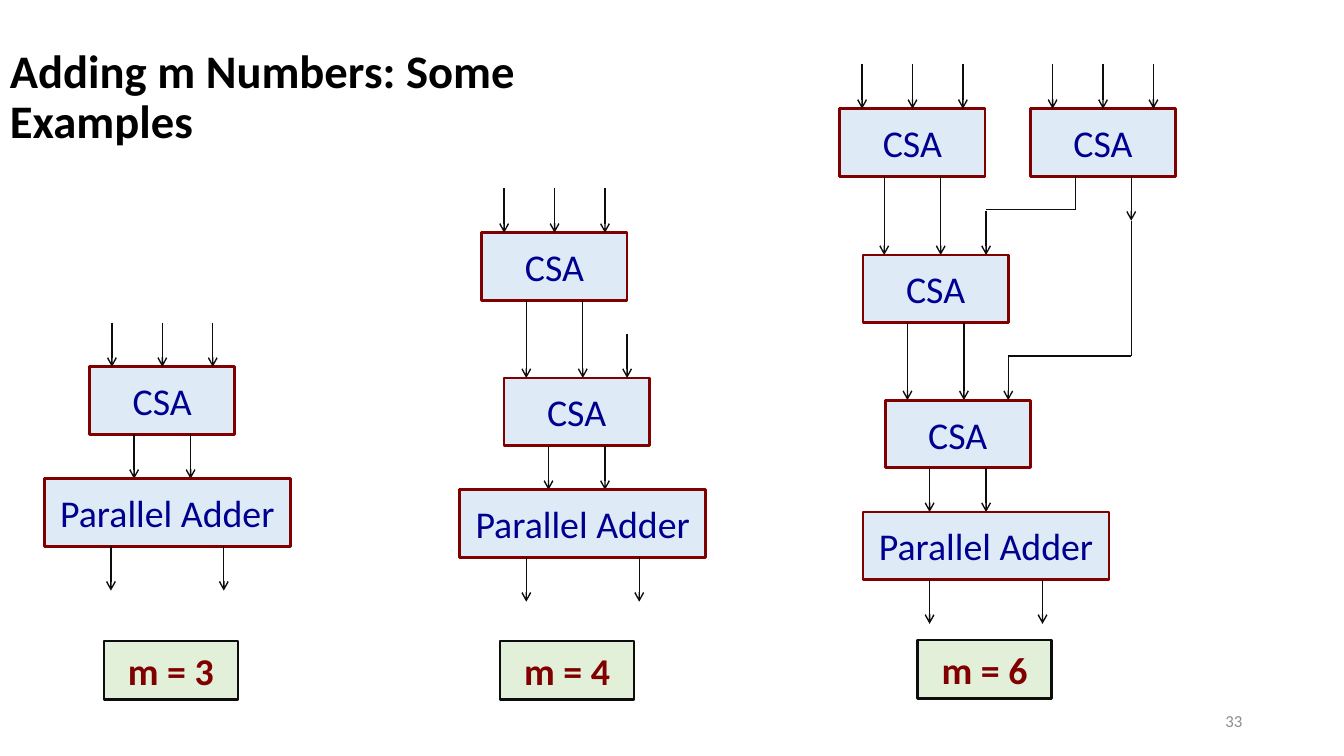
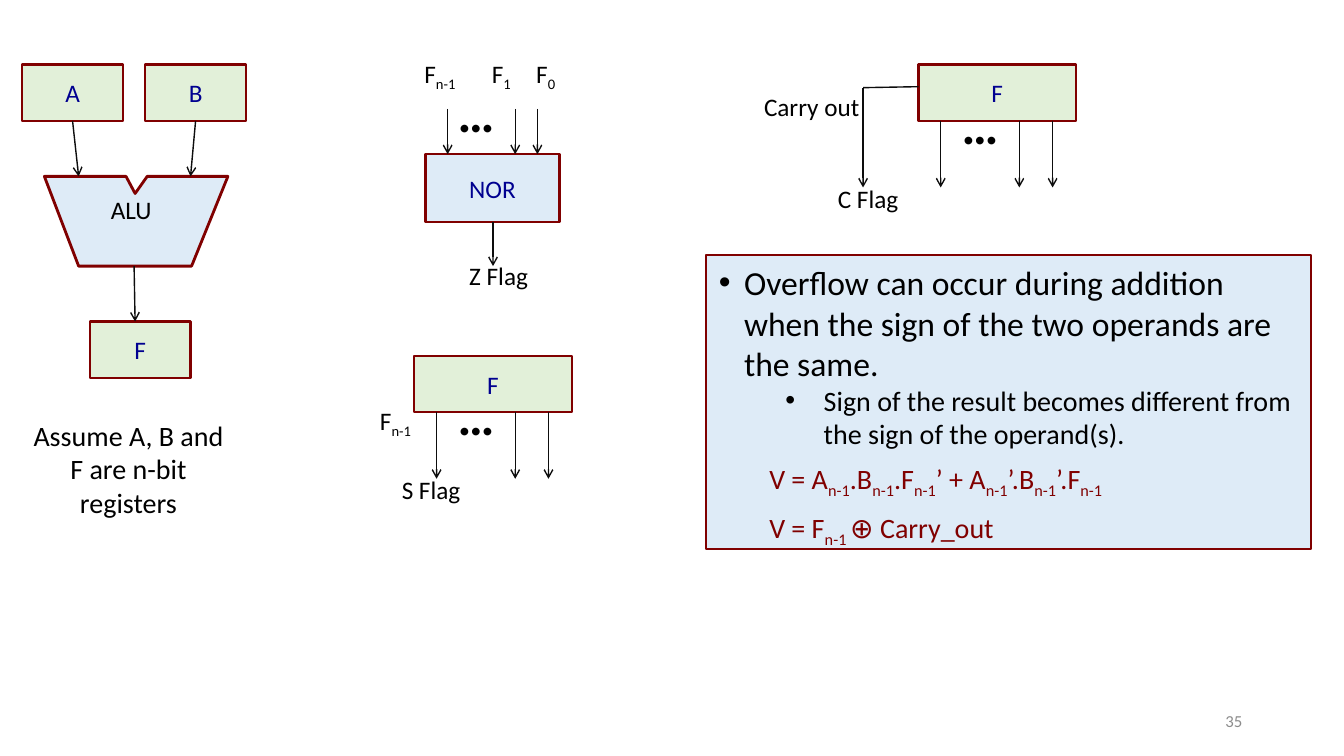
"""Build two slides on carry-save adder trees and ALU status flags."""
from dataclasses import dataclass
from typing import NamedTuple, Optional, Sequence

import lxml.etree
import pptx
import pptx.dml.color
import pptx.enum.shapes
import pptx.enum.text
import pptx.oxml.ns
import pptx.util

Inches = pptx.util.Inches
Pt = pptx.util.Pt
qn = pptx.oxml.ns.qn
ALIGN = pptx.enum.text.PP_ALIGN
ANCHOR = pptx.enum.text.MSO_ANCHOR


@dataclass(frozen=True)
class Theme:
    font: str = "Calibri"
    ink: str = "000000"
    wire: str = "0D0D0D"
    maroon: str = "800000"
    navy: str = "000090"
    blue: str = "DEEBF7"
    green: str = "E2F0D9"
    muted: str = "8C8C8C"
    title: float = 33.3
    block: float = 27
    bullet: float = 24
    body: float = 20
    label: float = 18
    dots: float = 37
    footer: float = 12


THEME = Theme()


class Point(NamedTuple):
    x: float
    y: float


class Area(NamedTuple):
    x: float
    y: float
    w: float
    h: float


@dataclass(frozen=True)
class TextStyle:
    size: float
    color: str = THEME.ink
    bold: bool = False
    align: ALIGN = ALIGN.LEFT
    anchor: ANCHOR = ANCHOR.TOP
    inset: Point = Point(0.1, 0.05)
    spacing: Optional[float] = None


@dataclass(frozen=True)
class BoxStyle:
    fill: str
    line: str
    weight: float
    text: TextStyle


@dataclass(frozen=True)
class AdderTree:
    caption: str
    stages: tuple[Point, ...]
    adder: Point
    caption_at: Point


@dataclass(frozen=True)
class Label:
    area: Area
    pieces: tuple[str, ...]
    style: TextStyle


@dataclass(frozen=True)
class Item:
    pieces: tuple[str, ...]
    size: float
    color: str
    margin: float
    hanging: float = 0
    after: float = 0


def block_text(size: float) -> TextStyle:
    return TextStyle(size, THEME.navy, align=ALIGN.CENTER, anchor=ANCHOR.MIDDLE)


ROOMY = Point(0.13, 0.07)
LEFT = TextStyle(THEME.label)
CENTERED = TextStyle(THEME.label, align=ALIGN.CENTER)
DOTS = TextStyle(THEME.dots, bold=True)
TITLE = TextStyle(THEME.title, bold=True, anchor=ANCHOR.MIDDLE, spacing=0.9)
FOOTER = TextStyle(THEME.footer, THEME.muted, align=ALIGN.RIGHT, anchor=ANCHOR.MIDDLE)
NOTE = TextStyle(THEME.body, align=ALIGN.CENTER, inset=ROOMY)
ADDER = BoxStyle(THEME.blue, THEME.maroon, 2, block_text(THEME.block))
GATE = BoxStyle(THEME.blue, THEME.maroon, 1.5, block_text(THEME.label))
REGISTER = BoxStyle(THEME.green, THEME.maroon, 1.5, block_text(THEME.label))
CAPTION = BoxStyle(THEME.green, THEME.wire, 1.5, TextStyle(
    THEME.block, THEME.maroon, True, ALIGN.CENTER, inset=ROOMY))
OVERFLOW = BoxStyle(THEME.blue, THEME.maroon, 1.5, TextStyle(THEME.bullet, inset=ROOMY))

CSA_W, ADDER_W, BLOCK_H, LEAD = 1.44, 2.44, 0.67, 0.44
CSA_INPUTS = (0.22, 0.72, 1.22)
CSA_OUTPUTS = (0.44, 1.0)
ADDER_OUTPUTS = (0.66, 1.78)
REGISTER_H = 0.56

TREES = (
    AdderTree("m = 3", (Point(0.89, 3.64),), Point(0.44, 4.75), Point(1.03, 6.36)),
    AdderTree("m = 4", (Point(4.78, 2.31), Point(5, 3.75)), Point(4.56, 4.86),
              Point(4.96, 6.36)),
    AdderTree("m = 6", (Point(8.33, 1.08), Point(8.56, 2.53), Point(8.78, 3.97)),
              Point(8.56, 5.08), Point(9.1, 6.35)),
)

FLAG_LABELS = (
    Label(Area(1, 1.88, 1.22, 0.4), ("ALU",), LEFT),
    Label(Area(0.11, 4.08, 2.33, 0.81), ("Assume A, B and F are n-bit registers",), NOTE),
    Label(Area(4.11, 0.53, 0.89, 0.4), ("F", "n-1"), LEFT),
    Label(Area(4.78, 0.53, 0.56, 0.4), ("F", "1"), LEFT),
    Label(Area(5.22, 0.53, 0.56, 0.4), ("F", "0"), LEFT),
    Label(Area(4.44, 0.75, 0.78, 0.72), ("…",), DOTS),
    Label(Area(3.89, 2.53, 2.11, 0.4), ("Z Flag",), CENTERED),
    Label(Area(3.67, 3.97, 0.89, 0.4), ("F", "n-1"), LEFT),
    Label(Area(3.22, 4.66, 2.11, 0.4), ("S Flag",), CENTERED),
    Label(Area(7.44, 0.86, 1.22, 0.4), ("Carry out",), CENTERED),
    Label(Area(7.89, 1.77, 1.44, 0.4), ("C Flag",), CENTERED),
)

OVERFLOW_ITEMS = (
    Item(("Overflow can occur during addition when the sign of the two operands "
          "are the same.",), THEME.bullet, THEME.ink, 0.25, 0.25),
    Item(("Sign of the result becomes different from the sign of the operand(s).",),
         THEME.body, THEME.ink, 1.04, 0.38, 8),
    Item(("V = A", "n-1", ".B", "n-1", ".F", "n-1", "’ + A", "n-1", "’.B", "n-1",
          "’.F", "n-1"), THEME.body, THEME.maroon, 0.5, after=8),
    Item(("V = F", "n-1 ", "⊕ Carry_out"), THEME.body, THEME.maroon, 0.5),
)


def rgb(value: str) -> pptx.dml.color.RGBColor:
    return pptx.dml.color.RGBColor.from_string(value)


def add_runs(paragraph, pieces: Sequence[str], size: float, color: str,
             bold: bool = False) -> None:
    """Write the pieces as runs, every second one as a subscript."""
    for index, piece in enumerate(pieces):
        run = paragraph.add_run()
        run.text = piece
        run.font.name = THEME.font
        run.font.size = Pt(size)
        run.font.bold = bold
        run.font.color.rgb = rgb(color)
        if index % 2:
            run.font._element.set("baseline", "-25000")


def write(shape, pieces: Sequence[str], style: TextStyle) -> None:
    frame = shape.text_frame
    frame.word_wrap = True
    frame.vertical_anchor = style.anchor
    frame.margin_left = frame.margin_right = Inches(style.inset.x)
    frame.margin_top = frame.margin_bottom = Inches(style.inset.y)
    paragraph = frame.paragraphs[0]
    paragraph.alignment = style.align
    if style.spacing:
        paragraph.line_spacing = style.spacing
    add_runs(paragraph, pieces, style.size, style.color, style.bold)


def paint(shape, style: BoxStyle) -> None:
    shape.shadow.inherit = False
    shape.fill.solid()
    shape.fill.fore_color.rgb = rgb(style.fill)
    shape.line.color.rgb = rgb(style.line)
    shape.line.width = Pt(style.weight)


def add_box(slide, area: Area, text: str, style: BoxStyle):
    box = slide.shapes.add_shape(
        pptx.enum.shapes.MSO_SHAPE.RECTANGLE, *map(Inches, area))
    paint(box, style)
    write(box, (text,) if text else (), style.text)
    return box


def add_label(slide, label: Label) -> None:
    write(slide.shapes.add_textbox(*map(Inches, label.area)), label.pieces, label.style)


def add_wire(slide, start: Point, end: Point, arrow: bool = True) -> None:
    wire = slide.shapes.add_connector(
        pptx.enum.shapes.MSO_CONNECTOR.STRAIGHT, *map(Inches, (*start, *end)))
    wire.line.color.rgb = rgb(THEME.wire)
    wire.line.width = Pt(1)
    properties = wire._element.spPr
    if arrow:
        lxml.etree.SubElement(properties.find(qn("a:ln")), qn("a:tailEnd"), type="arrow")
    lxml.etree.SubElement(properties, qn("a:effectLst"))


def drop_wires(slide, xs: Sequence[float], top: float, bottom: float) -> None:
    for x in xs:
        add_wire(slide, Point(x, top), Point(x, bottom))


def add_route(slide, *corners: Point) -> None:
    for start, end in zip(corners, corners[1:]):
        add_wire(slide, start, end, arrow=False)


def add_page_number(slide, number: int) -> None:
    add_label(slide, Label(Area(9.42, 6.95, 3, 0.4), (str(number),), FOOTER))


def add_csa(slide, at: Point, inputs: Sequence[float]) -> None:
    add_box(slide, Area(*at, CSA_W, BLOCK_H), "CSA", ADDER)
    drop_wires(slide, [at.x + dx for dx in inputs], at.y - LEAD, at.y)


def add_tree(slide, tree: AdderTree) -> None:
    followers = (*tree.stages[1:], tree.adder)
    for index, (stage, follower) in enumerate(zip(tree.stages, followers)):
        add_csa(slide, stage, CSA_INPUTS[-1:] if index else CSA_INPUTS)
        drop_wires(slide, [stage.x + dx for dx in CSA_OUTPUTS],
                   stage.y + BLOCK_H, follower.y)
    add_box(slide, Area(*tree.adder, ADDER_W, BLOCK_H), "Parallel Adder", ADDER)
    bottom = tree.adder.y + BLOCK_H
    drop_wires(slide, [tree.adder.x + dx for dx in ADDER_OUTPUTS], bottom, bottom + LEAD)
    add_box(slide, Area(*tree.caption_at, 1.33, 0.58), tree.caption, CAPTION)


def add_flag_register(slide, at: Point) -> None:
    add_box(slide, Area(*at, 1.56, REGISTER_H), "F", REGISTER)
    drop_wires(slide, [at.x + dx for dx in (0.22, 1, 1.33)],
               at.y + REGISTER_H, at.y + 1.22)
    add_label(slide, Label(Area(at.x + 0.33, at.y + 0.23, 0.78, 0.72), ("…",), DOTS))


def add_alu(slide) -> None:
    outline = [Point(0.44, 1.75), Point(1.25, 1.75), Point(1.34, 1.92), Point(1.46, 1.75),
               Point(2.26, 1.75), Point(1.9, 2.64), Point(0.78, 2.64)]
    corners = [(Inches(x), Inches(y)) for x, y in outline]
    builder = slide.shapes.build_freeform(*corners[0], scale=1.0)
    builder.add_line_segments(corners[1:], close=True)
    paint(builder.convert_to_shape(), ADDER)
    for name, at in (("A", Point(0.22, 0.64)), ("B", Point(1.44, 0.64)),
                     ("F", Point(0.89, 3.19))):
        add_box(slide, Area(*at, 1, REGISTER_H), name, REGISTER)
    add_wire(slide, Point(0.72, 1.2), Point(0.78, 1.75))
    add_wire(slide, Point(1.94, 1.2), Point(1.89, 1.75))
    add_wire(slide, Point(1.33, 2.64), Point(1.34, 3.19))


def add_overflow(slide) -> None:
    frame = add_box(slide, Area(7, 2.53, 6, 2.92), "", OVERFLOW).text_frame
    for index, item in enumerate(OVERFLOW_ITEMS):
        paragraph = frame.add_paragraph() if index else frame.paragraphs[0]
        paragraph.level = min(index, 1)
        paragraph.alignment = ALIGN.LEFT
        properties = paragraph._p.get_or_add_pPr()
        properties.set("marL", str(Inches(item.margin)))
        properties.set("indent", str(-Inches(item.hanging)))
        if item.hanging:
            lxml.etree.SubElement(properties, qn("a:buFont"), typeface="Arial")
            lxml.etree.SubElement(properties, qn("a:buChar"), char="•")
        paragraph.space_after = Pt(item.after)
        add_runs(paragraph, item.pieces, item.size, item.color)


def build_adders(slide) -> None:
    add_label(slide, Label(Area(0, 0.53, 5.44, 0.89),
                           ("Adding m Numbers: Some Examples",), TITLE))
    for tree in TREES:
        add_tree(slide, tree)
    add_csa(slide, Point(10.22, 1.08), CSA_INPUTS)
    add_route(slide, Point(10.67, 1.75), Point(10.67, 2.08), Point(9.78, 2.08))
    add_wire(slide, Point(11.22, 1.75), Point(11.22, 2.19))
    add_route(slide, Point(11.22, 2.19), Point(11.22, 3.53), Point(10, 3.53))
    add_page_number(slide, 33)


def build_flags(slide) -> None:
    add_alu(slide)
    add_box(slide, Area(4.22, 1.53, 1.33, BLOCK_H), "NOR", GATE)
    drop_wires(slide, (4.44, 5.11, 5.33), 1.08, 1.53)
    drop_wires(slide, (4.89,), 2.2, 2.64)
    for at in (Point(4.11, 3.53), Point(9.11, 0.64)):
        add_flag_register(slide, at)
    add_route(slide, Point(9.11, 0.86), Point(8.56, 0.87))
    drop_wires(slide, (8.56,), 0.87, 1.86)
    for label in FLAG_LABELS:
        add_label(slide, label)
    add_overflow(slide)
    add_page_number(slide, 35)


def main() -> None:
    deck = pptx.Presentation()
    deck.slide_width, deck.slide_height = Inches(13.33), Inches(7.5)
    for build in (build_adders, build_flags):
        build(deck.slides.add_slide(deck.slide_layouts[6]))
    deck.save("out.pptx")


if __name__ == "__main__":
    main()
